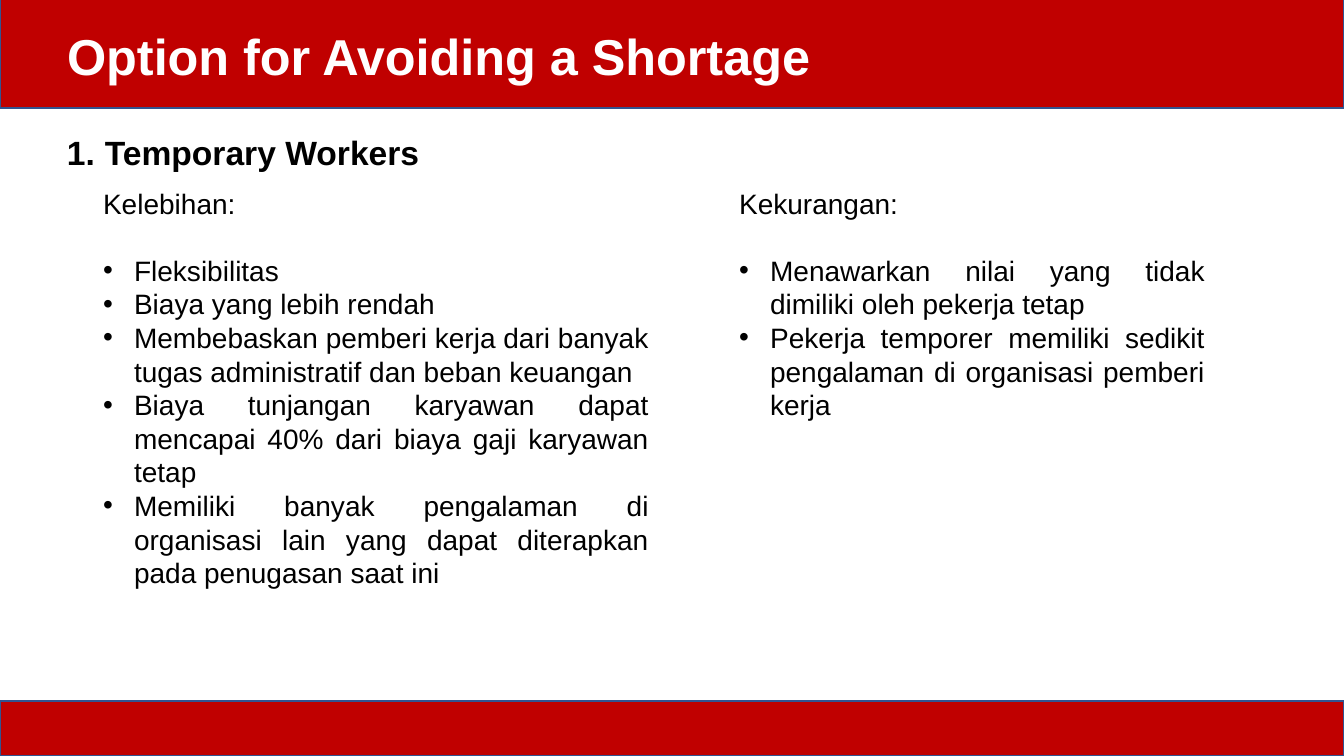
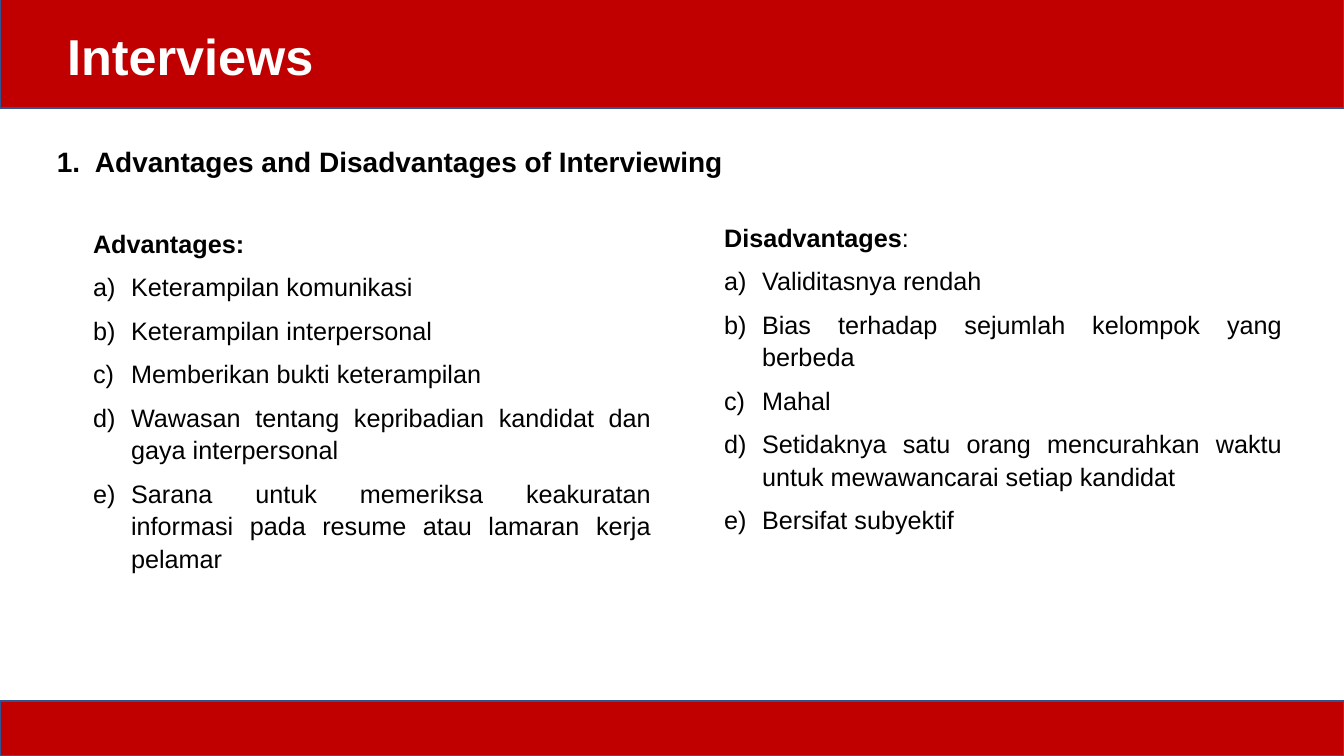
from dataclasses import dataclass
from lxml.etree import SubElement as Sub
from pptx import Presentation
from pptx.dml.color import RGBColor as Rgb
from pptx.enum.shapes import MSO_SHAPE as Shape
from pptx.enum.text import MSO_ANCHOR as Anchor, MSO_AUTO_SIZE as Fit, PP_ALIGN as Align
from pptx.oxml.ns import qn
from pptx.util import Pt

PX = 914400 / 100.8


@dataclass(frozen=True)
class Theme:
    font: str = "Arial"
    red: Rgb = Rgb(0xC0, 0x00, 0x00)
    edge: Rgb = Rgb(0x32, 0x54, 0x91)
    white: Rgb = Rgb(0xFF, 0xFF, 0xFF)
    black: Rgb = Rgb(0x00, 0x00, 0x00)
    title: int = 36
    large: int = 24
    mid: int = 20
    small: int = 18


theme = Theme()


def place(shape, box):
    shape.left, shape.top, shape.width, shape.height = [round(n * PX) for n in box]


def style(par, size, color=theme.black, bold=False, align=Align.JUSTIFY,
          mark=None, indent=0, line=1.0, after=0):
    props = par._p.get_or_add_pPr()
    props.set("marL", str(round(indent * PX)))
    props.set("indent", str(round(-indent * PX)))
    if mark is None:
        Sub(props, qn("a:buNone"))
    elif mark == "•":
        Sub(props, qn("a:buFont"), typeface=theme.font)
        Sub(props, qn("a:buChar"), char=mark)
    else:
        Sub(props, qn("a:buFont"), typeface="+mj-lt")
        Sub(props, qn("a:buAutoNum"), type=mark)
    par.alignment = align
    par.line_spacing = line
    par.space_before, par.space_after = Pt(0), Pt(after)
    font = par.font
    font.name, font.size, font.bold = theme.font, Pt(size), bold
    font.color.rgb = color


# Content: each column is a box, a bold lead, a plain lead and its items
pages = [
    dict(
        title="Option for Avoiding a Shortage",
        head="Temporary Workers", box=(57, 127, 723, 50), size=theme.large,
        text=dict(size=theme.mid), gap=24, list=dict(mark="•", indent=31),
        cols=[
            ((93, 181, 566, 452), "", "Kelebihan:", [
                "Fleksibilitas",
                "Biaya yang lebih rendah",
                "Membebaskan pemberi kerja dari banyak tugas administratif dan beban keuangan",
                "Biaya tunjangan karyawan dapat mencapai 40% dari biaya gaji karyawan tetap",
                "Memiliki banyak pengalaman di organisasi lain yang dapat diterapkan "
                "pada penugasan saat ini",
            ]),
            ((729, 181, 486, 248), "", "Kekurangan:", [
                "Menawarkan nilai yang tidak dimiliki oleh pekerja tetap",
                "Pekerja temporer memiliki sedikit pengalaman di organisasi pemberi kerja",
            ]),
        ],
    ),
    dict(
        title="Interviews",
        head="Advantages and Disadvantages of Interviewing",
        box=(47, 140, 1219, 44), size=theme.mid,
        text=dict(size=theme.small, line=1.07), gap=8,
        list=dict(mark="alphaLcParenR", indent=38, after=8),
        cols=[
            ((83, 221, 578, 358), "Advantages:", "", [
                "Keterampilan komunikasi",
                "Keterampilan interpersonal",
                "Memberikan bukti keterampilan",
                "Wawasan tentang kepribadian kandidat dan gaya interpersonal",
                "Sarana untuk memeriksa keakuratan informasi pada resume atau lamaran kerja pelamar",
            ]),
            ((714, 215, 578, 326), "Disadvantages", ":", [
                "Validitasnya rendah",
                "Bias terhadap sejumlah kelompok yang berbeda",
                "Mahal",
                "Setidaknya satu orang mencurahkan waktu untuk mewawancarai setiap kandidat",
                "Bersifat subyektif",
            ]),
        ],
    ),
]

deck = Presentation()
deck.slide_width, deck.slide_height = round(1344 * PX), round(756 * PX)
layout = deck.slide_layouts.get_by_name("Two Content")
slides = [deck.slides.add_slide(layout) for page in pages]

# Shared layout: title place and the two bands behind everything
place(layout.placeholders[0], (57, 19, 1118, 73))
for pos, box in enumerate([(0, -3, 1344, 111), (0, 701, 1344, 55)]):
    band = slides[0].shapes.add_shape(Shape.RECTANGLE, 0, 0, 0, 0)
    place(band, box)
    band.shadow.inherit = False
    band.fill.solid()
    band.fill.fore_color.rgb = theme.red
    band.line.color.rgb = theme.edge
    band.line.width = Pt(1)
    band.element.nvSpPr.cNvPr.set("id", str(20 + pos))
    layout.shapes.element.insert(2 + pos, band.element)

for slide, page in zip(slides, pages):
    # Title
    title, *bodies = slide.placeholders
    frame = title.text_frame
    frame.text = page["title"]
    frame.auto_size, frame.vertical_anchor = Fit.NONE, Anchor.BOTTOM
    style(frame.paragraphs[0], theme.title, theme.white, True, Align.LEFT, line=0.9)

    # Numbered heading
    head = slide.shapes.add_textbox(0, 0, 0, 0)
    place(head, page["box"])
    frame = head.text_frame
    frame.word_wrap = True
    frame.text = page["head"]
    style(frame.paragraphs[0], page["size"], bold=True, align=Align.LEFT,
          mark="arabicPeriod", indent=38)

    # Two columns
    for body, (box, strong, plain, items) in zip(bodies, page["cols"]):
        place(body, box)
        frame = body.text_frame
        frame.auto_size = Fit.NONE
        lead = frame.paragraphs[0]
        style(lead, after=page["gap"], **page["text"])
        for words, bold in [(strong, True), (plain, False)]:
            if words:
                run = lead.add_run()
                run.text, run.font.bold = words, bold
        for item in items:
            par = frame.add_paragraph()
            par.text = item
            style(par, **page["text"], **page["list"])

deck.save("out.pptx")
